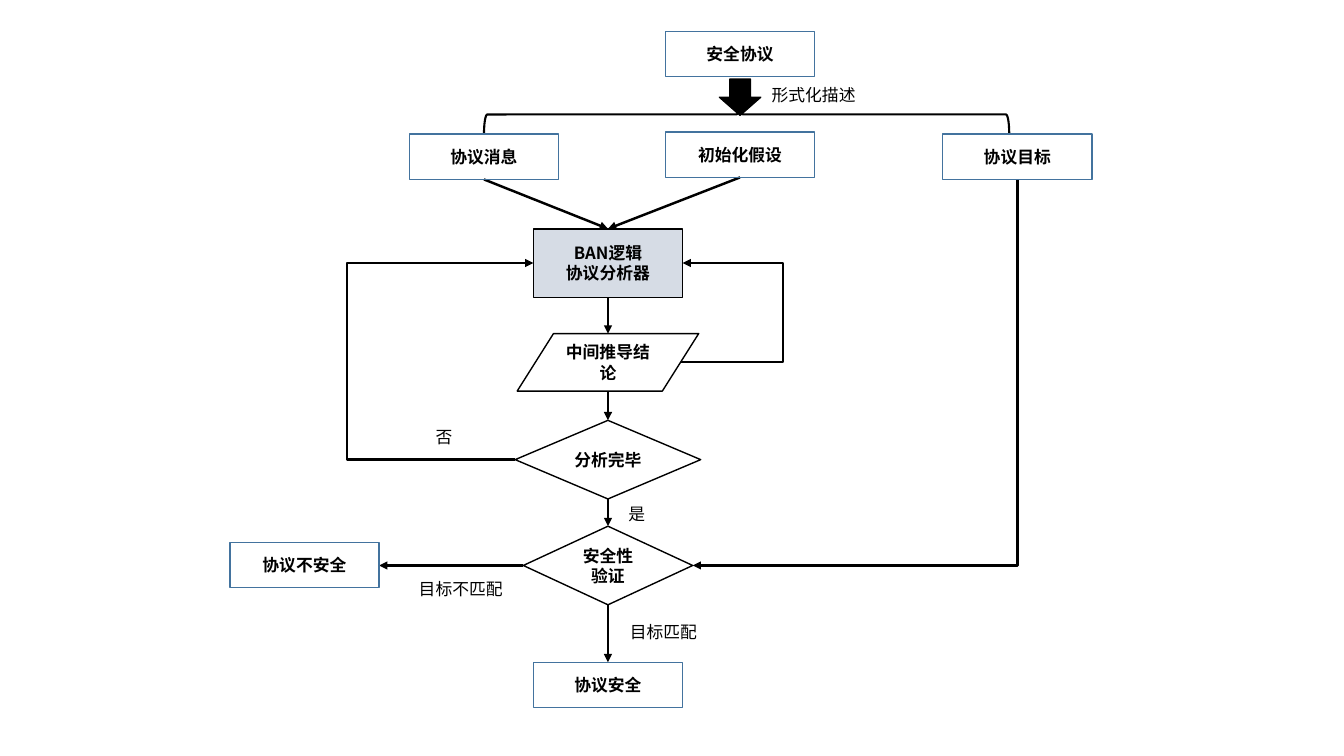
from lxml import etree
from pptx import Presentation
from pptx.dml.color import RGBColor
from pptx.enum.shapes import MSO_CONNECTOR, MSO_SHAPE
from pptx.enum.text import MSO_ANCHOR, MSO_AUTO_SIZE, PP_ALIGN
from pptx.oxml.ns import qn
from pptx.util import Inches, Pt

RECT, ARROW = MSO_SHAPE.RECTANGLE, MSO_SHAPE.RIGHT_ARROW
BRACE = MSO_SHAPE.LEFT_BRACE
DATA = MSO_SHAPE.FLOWCHART_DATA
TEST = MSO_SHAPE.FLOWCHART_DECISION
LINE, ELBOW = MSO_CONNECTOR.STRAIGHT, MSO_CONNECTOR.ELBOW
CENTER, MIDDLE = PP_ALIGN.CENTER, MSO_ANCHOR.MIDDLE
GROW = MSO_AUTO_SIZE.SHAPE_TO_FIT_TEXT

BLACK, WHITE = RGBColor(0, 0, 0), RGBColor(255, 255, 255)
BLUE, GREY = RGBColor(0x43, 0x73, 0x9E), RGBColor(0xD6, 0xDC, 0xE5)
FACE = "Noto Sans CJK SC"
FONT = {"name": FACE, "size": Pt(12)}

# Column centre of the main flow, and the size of a plain box
MID, WIDE, HIGH = 6.03, 1.48, 0.45

# Plain boxes: text, left, top
BOXES = [
    ("安全协议", 6.6, 0.31),
    ("协议消息", 4.06, 1.33),
    ("初始化假设", 6.6, 1.31),
    ("协议目标", 9.35, 1.33),
    ("协议不安全", 2.28, 5.38),
    ("协议安全", 5.29, 6.57),
]
# Steps centred on the main flow: text, preset, top, width, height, fill
STEPS = [
    ("BAN逻辑\n协议分析器", RECT, 2.27, WIDE, 0.68, GREY),
    ("中间推导结论", DATA, 3.31, 1.8, 0.57, WHITE),
    ("分析完毕", TEST, 4.17, 1.84, 0.78, WHITE),
    ("安全性验证", TEST, 5.22, 1.68, 0.78, WHITE),
]
# Labels: text, left, top, width
LABELS = [
    ("形式化描述", 7.55, 0.79, 1.04),
    ("否", 4.22, 4.18, 0.37),
    ("是", 6.13, 4.95, 0.37),
    ("目标不匹配", 4.05, 5.69, 1.04),
    ("目标匹配", 6.14, 6.12, 0.88),
]
# Straight arrows: from x, y, to x, y
LINKS = [
    (4.8, 1.78, MID, 2.27),
    (7.34, 1.76, MID, 2.27),
    (MID, 2.95, MID, 3.31),
    (MID, 3.88, MID, 4.17),
    (MID, 4.95, MID, 5.22),
    (MID, 6, MID, 6.57),
    (5.19, 5.61, 3.76, 5.61),
]
# Bent arrows: from x, y, to x, y, x of the upright part
BENDS = [
    (10.09, 1.78, 6.87, 5.61, 10.09),
    (6.75, 3.59, 6.77, 2.61, 7.76),
    (5.11, 4.56, 5.29, 2.61, 3.44),
]

deck = Presentation()
deck.slide_width, deck.slide_height = Inches(13.33), Inches(7.5)
slide = deck.slides.add_slide(deck.slide_layouts[6])
shapes = slide.shapes


def write(frame, text, bold):
    for i, part in enumerate(text.split("\n")):
        para = frame.add_paragraph() if i else frame.paragraphs[0]
        para.alignment = CENTER
        run = para.add_run()
        run.text = part
        for key, value in {**FONT, "bold": bold}.items():
            setattr(run.font, key, value)
        run.font.color.rgb = BLACK
        props = run._r.get_or_add_rPr()
        etree.SubElement(props, qn("a:ea"), typeface=FACE)


def draw(kind, x, y, w, h, fill=None, edge=BLACK, width=1, text=""):
    shape = shapes.add_shape(kind, *map(Inches, (x, y, w, h)))
    shape.shadow.inherit = False
    if fill is None:
        shape.fill.background()
    else:
        shape.fill.solid()
        shape.fill.fore_color.rgb = fill
    shape.line.color.rgb = edge
    shape.line.width = Pt(width)
    if text:
        frame = shape.text_frame
        frame.word_wrap, frame.vertical_anchor = True, MIDDLE
        write(frame, text, True)
    return shape


def link(kind, *ends):
    wire = shapes.add_connector(kind, *map(Inches, ends))
    wire.line.color.rgb = BLACK
    wire.line.width = Pt(1.75)
    props = wire._element.spPr
    etree.SubElement(props.find(qn("a:ln")), qn("a:tailEnd"), type="triangle")
    etree.SubElement(props, qn("a:effectLst"))
    return props


# Block arrow and brace, both turned upright
draw(ARROW, 7.16, 0.76, 0.36, 0.41, BLACK).rotation = 90
brace = draw(BRACE, 7.21, -1.47, 0.39, 5.21, width=1.5)
brace.rotation = 90
brace.adjustments[0], brace.adjustments[1] = 0.083, 0.513

# Arrows
for ends in LINKS:
    link(LINE, *ends)
for x1, y1, x2, y2, turn in BENDS:
    props = link(ELBOW, x1, y1, x2, y2)
    share = round((turn - x1) / (x2 - x1) * 100000)
    guides = props.find(qn("a:prstGeom")).find(qn("a:avLst"))
    etree.SubElement(guides, qn("a:gd"), name="adj1", fmla=f"val {share}")

# Boxes and steps
for text, x, y in BOXES:
    draw(RECT, x, y, WIDE, HIGH, edge=BLUE, text=text)
for text, kind, y, w, h, fill in STEPS:
    draw(kind, MID - w / 2, y, w, h, fill, text=text)

# Labels
for text, x, y, w in LABELS:
    box = shapes.add_textbox(*map(Inches, (x, y, w, 0.3)))
    frame = box.text_frame
    frame.word_wrap, frame.auto_size = False, GROW
    write(frame, text, False)

deck.save("out.pptx")
